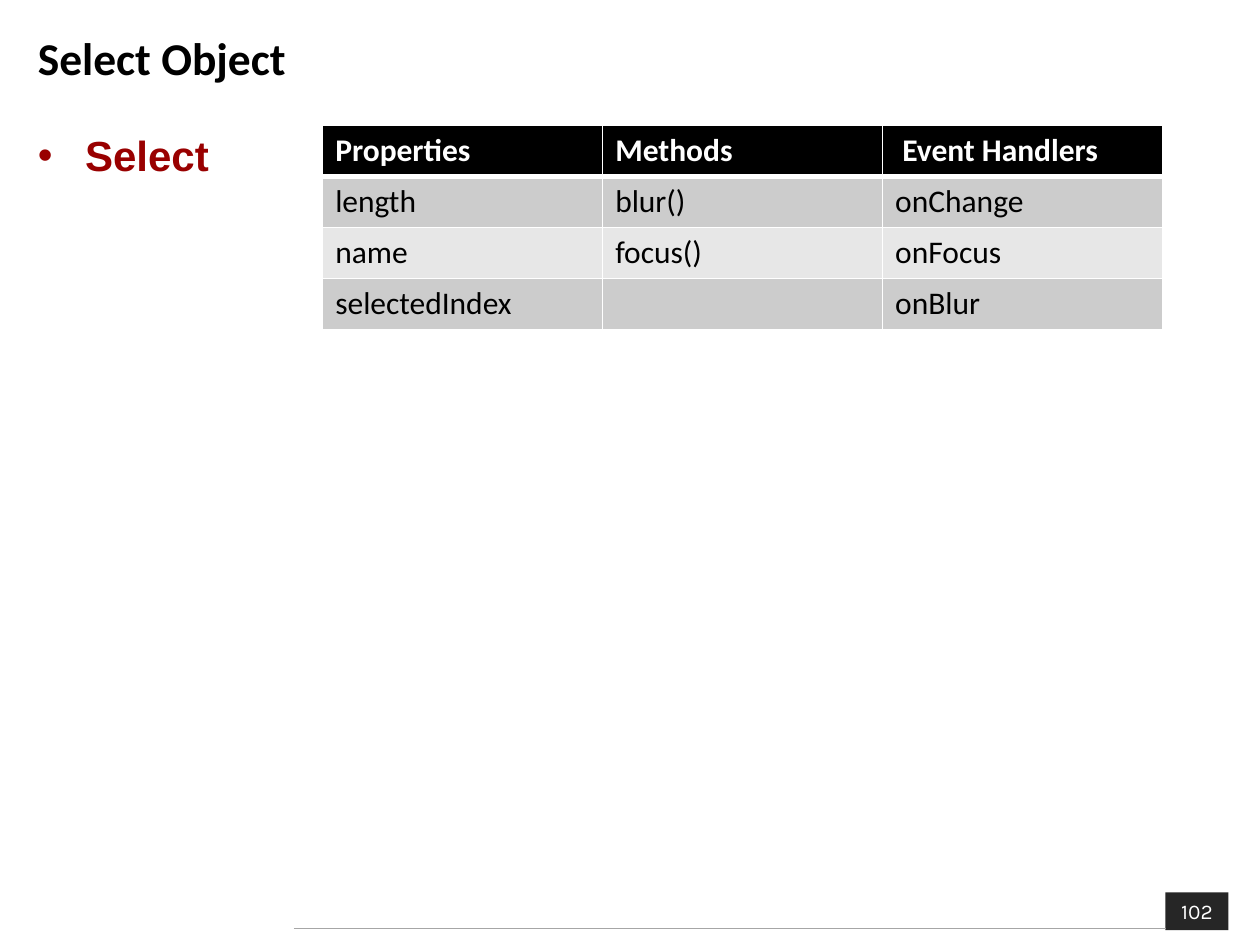
from lxml.etree import SubElement as Sub
from pptx import Presentation
from pptx.dml.color import RGBColor as RGB
from pptx.enum.shapes import MSO_CONNECTOR as Conn, MSO_SHAPE as Shape
from pptx.enum.text import MSO_ANCHOR as Anchor, MSO_AUTO_SIZE as Fit, PP_ALIGN as Align
from pptx.oxml.ns import qn
from pptx.util import Pt

BLACK = RGB(0x00, 0x00, 0x00)
WHITE = RGB(0xFF, 0xFF, 0xFF)
RED = RGB(0x99, 0x00, 0x00)
DARK = RGB(0x26, 0x26, 0x26)
RULE = RGB(0xA6, 0xA6, 0xA6)
BANDS = [RGB(0xE7, 0xE7, 0xE7), RGB(0xCC, 0xCC, 0xCC)]

ROWS = [
    ["Properties", "Methods", " Event Handlers"],
    ["length", "blur()", "onChange"],
    ["name", "focus()", "onFocus"],
    ["selectedIndex", "", "onBlur"],
]


def style(para, name, size, color, bold=False):
    font = para.font
    font.name, font.size, font.bold = name, Pt(size), bold
    font.color.rgb = color


def edge(cell, side, width):
    """Draw one white cell border; side is L, R, T or B."""
    line = Sub(cell._tc.get_or_add_tcPr(), qn(f"a:ln{side}"), w=str(Pt(width)))
    fill = Sub(line, qn("a:solidFill"))
    Sub(fill, qn("a:srgbClr"), val=str(WHITE))


prs = Presentation()
prs.slide_width, prs.slide_height = Pt(720), Pt(540)
slide = prs.slides.add_slide(prs.slide_layouts[1])
shapes = slide.shapes

# Page number and footer rule
badge = shapes.add_shape(Shape.RECTANGLE, Pt(666), Pt(510), Pt(36), Pt(21.6))
badge.shadow.inherit = False
badge.fill.solid()
badge.fill.fore_color.rgb = DARK
badge.line.fill.background()
frame = badge.text_frame
frame.text = "102"
frame.vertical_anchor = Anchor.MIDDLE
frame.paragraphs[0].alignment = Align.CENTER
style(frame.paragraphs[0], "Karla", 12, WHITE)

rule = shapes.add_connector(Conn.STRAIGHT, Pt(168), Pt(530.6), Pt(666), Pt(530.6))
rule.line.color.rgb = RULE
rule.line.width = Pt(0.75)
Sub(rule._element.spPr, qn("a:effectLst"))

# Title and list
title = shapes.title
title.left, title.top, title.width, title.height = Pt(14.4), Pt(10.8), Pt(694.8), Pt(44)
frame = title.text_frame
frame.text = "Select Object"
frame.auto_size = Fit.NONE
frame.vertical_anchor = Anchor.MIDDLE
frame.paragraphs[0].alignment = Align.LEFT
style(frame.paragraphs[0], "Calibri", 26, BLACK, True)

body = slide.placeholders[1]
body.left, body.top, body.width, body.height = Pt(14.4), Pt(70.6), Pt(694.8), Pt(414.7)
frame = body.text_frame
frame.text = "Select"
frame.auto_size = Fit.NONE
item = frame.paragraphs[0]
item.space_before = Pt(0)
props = item._p.get_or_add_pPr()
props.set("marL", str(Pt(27)))
props.set("indent", str(Pt(-27)))
Sub(props, qn("a:buFont"), typeface="Arial")
Sub(props, qn("a:buChar"), char="•")
style(item, "Arial", 24, RED, True)

# Table of members
grid = shapes.add_table(4, 3, Pt(184.4), Pt(71.6), Pt(480), Pt(116.8)).table
for row in grid.rows:
    row.height = Pt(29.2)
for r, texts in enumerate(ROWS):
    head = r == 0
    for c, text in enumerate(texts):
        cell = grid.cell(r, c)
        cell.text = text
        style(cell.text_frame.paragraphs[0], "Calibri", 18, WHITE if head else BLACK, head)
        for side, width in ("L", 1), ("R", 1), ("T", 3 if r == 1 else 1), ("B", 3 if head else 1):
            edge(cell, side, width)
        cell.fill.solid()
        cell.fill.fore_color.rgb = BLACK if head else BANDS[r % 2]

prs.save("out.pptx")
